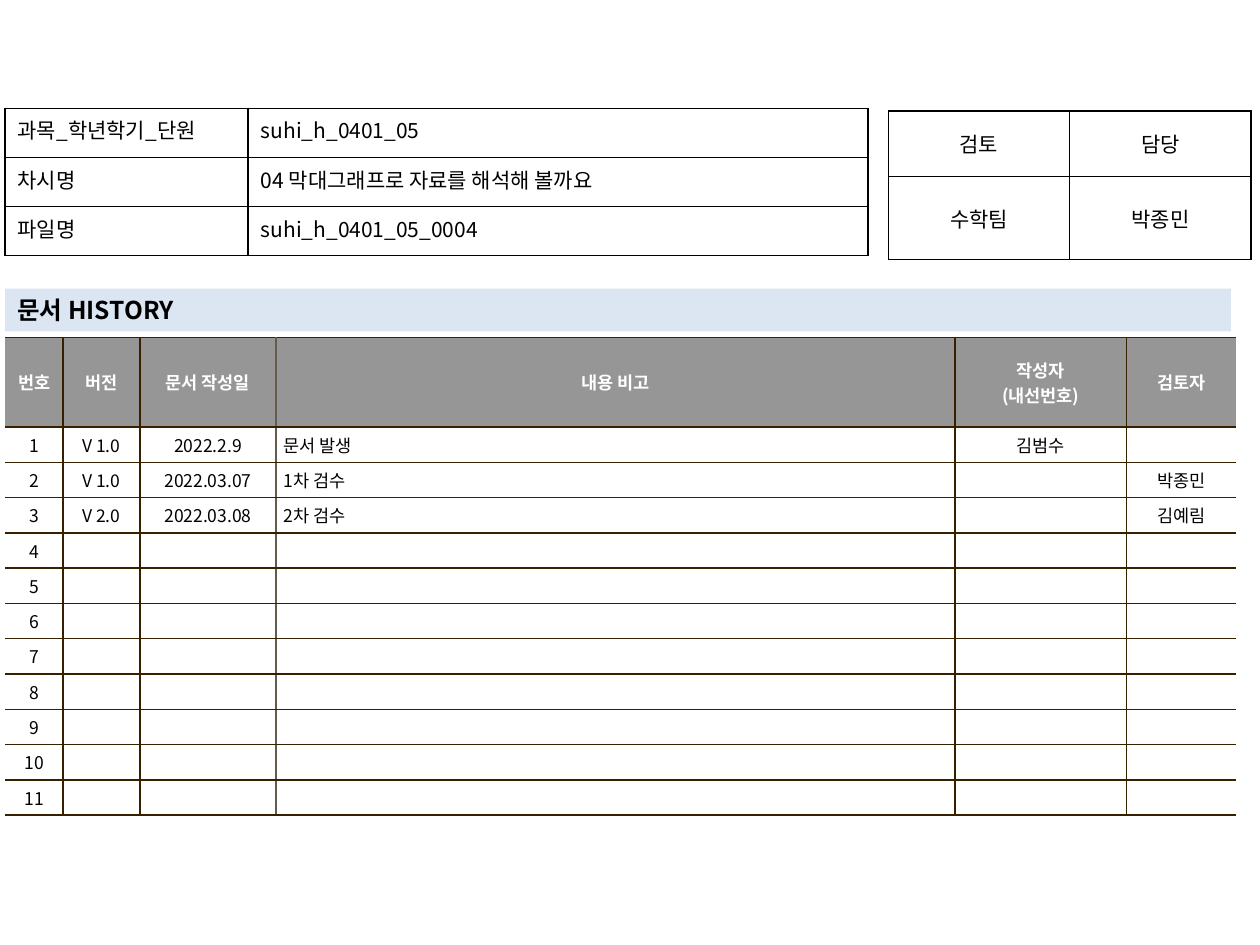
import pptx
import pptx.util
import pptx.dml.color
import pptx.enum.text
import pptx.enum.shapes
import pptx.oxml.ns
import lxml.etree

Inches = pptx.util.Inches
Pt = pptx.util.Pt
RGB = pptx.dml.color.RGBColor
ALIGN = pptx.enum.text.PP_ALIGN
ANCHOR = pptx.enum.text.MSO_ANCHOR
qn = pptx.oxml.ns.qn

BLACK = RGB(0x00, 0x00, 0x00)
WHITE = RGB(0xFF, 0xFF, 0xFF)
GRAY = RGB(0x96, 0x96, 0x96)
PALE = RGB(0xDC, 0xE6, 0xF2)
BROWN = RGB(0x36, 0x20, 0x00)
TAUPE = RGB(0x64, 0x5B, 0x4C)
FONT = "Noto Sans CJK KR"

INFO = [
    ["과목_학년학기_단원", "suhi_h_0401_05"],
    ["차시명", "04 막대그래프로 자료를 해석해 볼까요"],
    ["파일명", "suhi_h_0401_05_0004"],
]
REVIEW = [["검토", "담당"], ["수학팀", "박종민"]]
HEADS = ["번호", "버전", "문서 작성일", "내용 비고", "작성자\n(내선번호)", "검토자"]
LOG = [
    ["V 1.0", "2022.2.9", "문서 발생", "김범수", ""],
    ["V 1.0", "2022.03.07", "1차 검수", "", "박종민"],
    ["V 2.0", "2022.03.08", "2차 검수", "", "김예림"],
]
COUNT = 11
NOTE, CHECK = 3, 5
HANG = {NOTE: 0.19, CHECK: 0.09}

TIGHT = {
    "margin_left": Inches(0.06), "margin_right": Inches(0.06),
    "margin_top": Inches(0.04), "margin_bottom": Inches(0.04),
    "vertical_anchor": ANCHOR.MIDDLE,
}
MIDDLE = {"vertical_anchor": ANCHOR.MIDDLE}


def apply(item, values):
    for name, value in values.items():
        setattr(item, name, value)


def write(frame, text, size, color=BLACK, bold=False, align=ALIGN.LEFT, hang=0):
    """Fill a text frame, one paragraph a line; an empty text keeps its size."""
    frame.text = text
    for par in frame.paragraphs:
        par.alignment = align
        if hang:
            props = par._p.get_or_add_pPr()
            props.set("marL", str(Inches(hang)))
            props.set("indent", str(-Inches(hang)))
        for run in par.runs:
            apply(run.font, {"size": Pt(size), "name": FONT, "bold": bold})
            run.font.color.rgb = color
            east = lxml.etree.SubElement(run.font._element, qn("a:ea"))
            east.set("typeface", FONT)
        if not par.runs:
            end = lxml.etree.SubElement(par._p, qn("a:endParaRPr"))
            end.set("sz", str(size * 100))


def edge(cell, sides):
    """Draw 1 pt borders; a side with no color stays clear."""
    props = cell._tc.get_or_add_tcPr()
    for side in "LRTB":
        line = lxml.etree.SubElement(props, qn("a:ln" + side), w=str(Pt(1)))
        if sides[side] is None:
            lxml.etree.SubElement(line, qn("a:noFill"))
        else:
            fill = lxml.etree.SubElement(line, qn("a:solidFill"))
            lxml.etree.SubElement(fill, qn("a:srgbClr"), val=str(sides[side]))


def paint(cell, color):
    if color is None:
        cell.fill.background()
    else:
        cell.fill.solid()
        cell.fill.fore_color.rgb = color


def add_grid(slide, left, top, cols, rows):
    frame = slide.shapes.add_table(
        len(rows), len(cols), Inches(left), Inches(top),
        Inches(sum(cols)), Inches(sum(rows)))
    grid = frame.table
    apply(grid, {"first_row": False, "horz_banding": False})
    for col, width in zip(grid.columns, cols):
        col.width = Inches(width)
    for row, height in zip(grid.rows, rows):
        row.height = Inches(height)
    return grid


def add_form(slide, left, top, cols, rows, data, aligns, look):
    """Add a plain table with black borders."""
    grid = add_grid(slide, left, top, cols, rows)
    for r, line in enumerate(data):
        for c, text in enumerate(line):
            cell = grid.cell(r, c)
            apply(cell, look)
            write(cell.text_frame, text, 12, align=aligns[c])
            edge(cell, dict.fromkeys("LRTB", BLACK))
            paint(cell, None)


def add_log(slide):
    cols = [0.46, 0.61, 1.08, 5.39, 1.36, 0.87]
    grid = add_grid(slide, 0.04, 2.68, cols, [0.71] + [0.25] * COUNT)
    blank = [[""] * len(LOG[0])] * (COUNT - len(LOG))
    body = [[str(n)] + line for n, line in enumerate(LOG + blank, 1)]
    # Vertical rules from left to right; the outer two are open
    rules = [None] + [BROWN] * (len(cols) - 1) + [None]
    rules[NOTE] = TAUPE
    for r, line in enumerate([HEADS] + body):
        head = r == 0
        for c, text in enumerate(line):
            cell = grid.cell(r, c)
            apply(cell, TIGHT)
            write(cell.text_frame, text, 10, WHITE if head else BLACK, head,
                  ALIGN.LEFT if c == NOTE and not head else ALIGN.CENTER,
                  0 if head else HANG.get(c, 0))
            edge(cell, {"L": rules[c], "R": rules[c + 1], "T": BROWN, "B": BROWN})
            paint(cell, GRAY if head else WHITE)


def add_title(slide):
    bar = slide.shapes.add_shape(
        pptx.enum.shapes.MSO_SHAPE.RECTANGLE,
        Inches(0.04), Inches(2.29), Inches(9.73), Inches(0.34))
    bar.shadow.inherit = False
    bar.fill.solid()
    bar.fill.fore_color.rgb = PALE
    bar.line.fill.background()
    apply(bar.text_frame, {"word_wrap": True, **MIDDLE})
    write(bar.text_frame, "문서 HISTORY", 14, bold=True)


def main():
    deck = pptx.Presentation()
    apply(deck, {"slide_width": Inches(10), "slide_height": Inches(7.5)})
    slide = deck.slides.add_slide(deck.slide_layouts[6])
    add_log(slide)
    add_form(slide, 7.05, 0.88, [1.44] * 2, [0.52, 0.66], REVIEW,
             [ALIGN.CENTER] * 2, MIDDLE)
    add_title(slide)
    add_form(slide, 0.04, 0.86, [1.93, 4.92], [0.39] * 3, INFO,
             [ALIGN.JUSTIFY, ALIGN.LEFT], {})
    deck.save("out.pptx")


if __name__ == "__main__":
    main()
